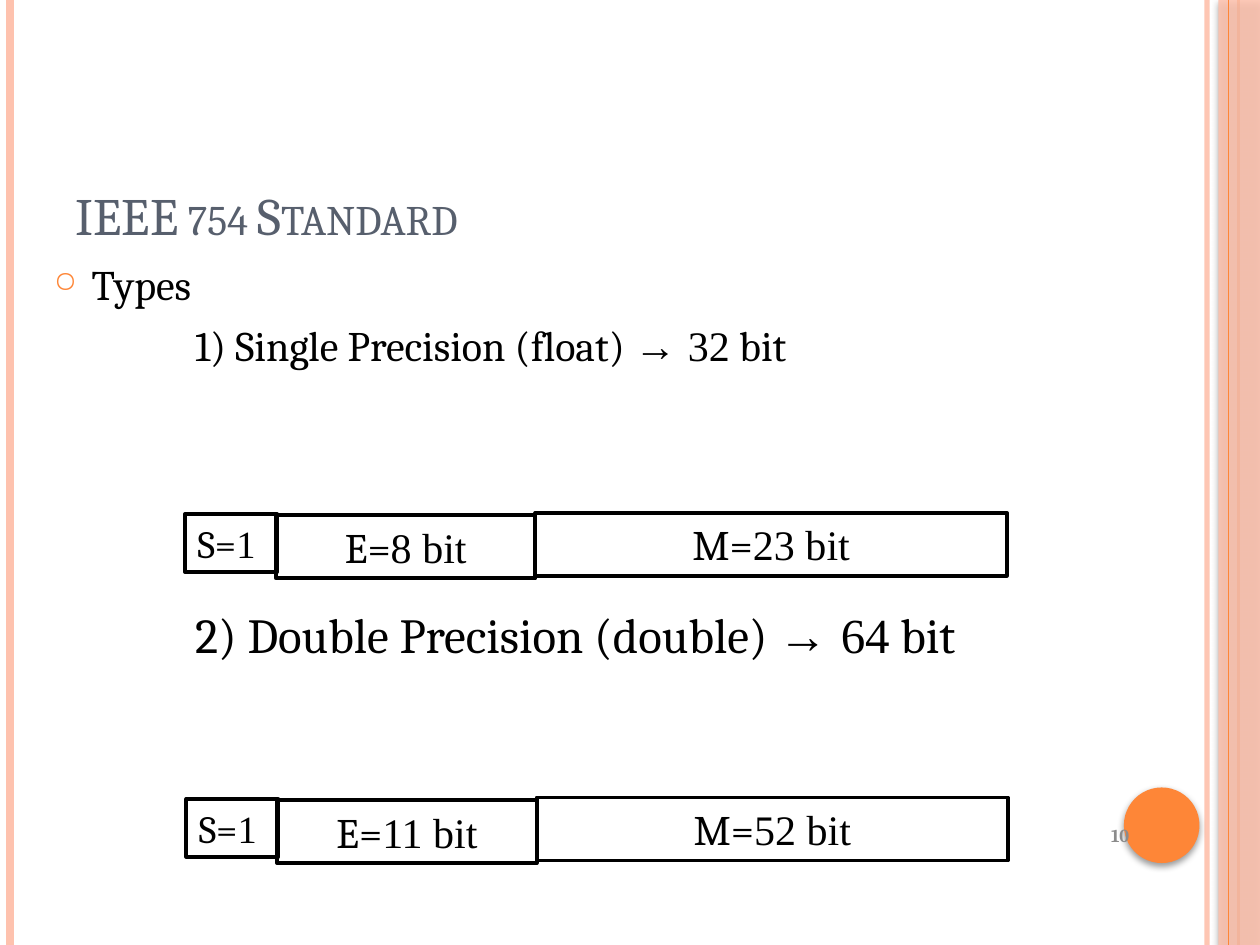
from dataclasses import dataclass
from typing import Any, Optional

from lxml.etree import SubElement
from pptx import Presentation
from pptx.dml.color import RGBColor
from pptx.enum.shapes import MSO_CONNECTOR, MSO_SHAPE
from pptx.enum.text import MSO_ANCHOR, MSO_AUTO_SIZE, PP_ALIGN
from pptx.oxml.ns import qn
from pptx.util import Inches, Pt


@dataclass(frozen=True)
class Theme:
    ink: str = "000000"
    title: str = "575F6D"
    accent: str = "FE8637"
    pale: str = "FEC2AE"
    muted: str = "8B8B8B"
    serif: str = "Cambria"
    digits: str = "Times New Roman"
    symbol: str = "Arial"
    title_size: float = 30
    heading_size: float = 28
    text_size: float = 24
    sign_size: float = 22
    number_size: float = 10.5


@dataclass(frozen=True)
class Rule:
    x: float
    color: str
    width: float
    opacity: int = 100


@dataclass(frozen=True)
class Field:
    label: str
    left: float
    top: float
    width: float
    height: float
    size: float
    align: PP_ALIGN
    wrap: bool


@dataclass(frozen=True)
class Layout:
    left: float
    top: float
    bits: tuple[str, str, str]


THEME = Theme()
FIELDS = (
    Field("S=", 0, 0.01, 0.73, 0.46, THEME.sign_size, PP_ALIGN.LEFT, False),
    Field("E=", 0.72, 0.02, 2.06, 0.5, THEME.text_size, PP_ALIGN.CENTER, True),
    Field("M=", 2.78, 0, 3.74, 0.5, THEME.text_size, PP_ALIGN.CENTER, True),
)
LAYOUTS = (
    Layout(1.47, 4.07, ("1", "8 bit", "23 bit")),
    Layout(1.48, 6.33, ("1", "11 bit", "52 bit")),
)


def apply(target: Any, values: dict[str, Any]) -> None:
    for name, value in values.items():
        setattr(target, name, value)


def set_opacity(shape: Any, percent: int) -> None:
    color = next(shape._element.spPr.iter(qn("a:srgbClr")))
    SubElement(color, qn("a:alpha"), val=str(percent * 1000))


def add_rule(page: Any, rule: Rule) -> None:
    line = page.shapes.add_connector(
        MSO_CONNECTOR.STRAIGHT, Inches(rule.x), Inches(0), Inches(rule.x), Inches(7.5))
    line.line.color.rgb = RGBColor.from_string(rule.color)
    line.line.width = Pt(rule.width)
    if rule.opacity < 100:
        set_opacity(line, rule.opacity)
    SubElement(line._element.spPr, qn("a:effectLst"))


def add_ornament(page: Any, kind: MSO_SHAPE, left: float, top: float,
                 width: float, height: float, color: str, opacity: int = 100) -> None:
    shape = page.shapes.add_shape(
        kind, Inches(left), Inches(top), Inches(width), Inches(height))
    shape.fill.solid()
    shape.fill.fore_color.rgb = RGBColor.from_string(color)
    if opacity < 100:
        set_opacity(shape, opacity)
    shape.line.fill.background()
    shape.shadow.inherit = False
    effects = shape._element.spPr.find(qn("a:effectLst"))
    shadow = SubElement(effects, qn("a:outerShdw"), blurRad=str(Pt(4)),
                        dist=str(Pt(2)), dir="5400000", rotWithShape="0")
    shade = SubElement(shadow, qn("a:srgbClr"), val=THEME.ink)
    SubElement(shade, qn("a:alpha"), val="40000")


def add_text_box(page: Any, left: float, top: float, width: float, height: float,
                 anchor: MSO_ANCHOR = MSO_ANCHOR.TOP) -> Any:
    box = page.shapes.add_textbox(
        Inches(left), Inches(top), Inches(width), Inches(height))
    apply(box.text_frame, {"word_wrap": True, "vertical_anchor": anchor})
    return box.text_frame


def add_span(para: Any, text: str, size: float, font: str = THEME.serif,
             color: str = THEME.ink, bold: Optional[bool] = None) -> Any:
    span = para.add_run()
    span.text = text
    apply(span.font, {"name": font, "size": Pt(size), "bold": bold})
    span.font.color.rgb = RGBColor.from_string(color)
    return span


def add_bullet(para: Any) -> None:
    properties = para._p.get_or_add_pPr()
    apply(para, {"space_before": Pt(6)})
    properties.set("marL", str(Inches(0.3)))
    properties.set("indent", str(Inches(-0.3)))
    color = SubElement(properties, qn("a:buClr"))
    SubElement(color, qn("a:srgbClr"), val=THEME.accent)
    SubElement(properties, qn("a:buSzPct"), val="70000")
    SubElement(properties, qn("a:buChar"), char="○")


def write_precision(para: Any, label: str, bits: str, size: float, before: float) -> None:
    para.space_before = Pt(before)
    para._p.get_or_add_pPr().set("marL", str(Inches(1.12)))
    for text, font in ((f"{label} ", THEME.serif), ("→ ", THEME.symbol),
                       (bits, THEME.digits), (" bit", THEME.serif)):
        add_span(para, text, size, font)


def add_field(page: Any, layout: Layout, field: Field, bits: str) -> None:
    box = page.shapes.add_shape(
        MSO_SHAPE.RECTANGLE, Inches(layout.left + field.left),
        Inches(layout.top + field.top), Inches(field.width), Inches(field.height))
    box.fill.background()
    box.line.color.rgb = RGBColor.from_string(THEME.ink)
    box.line.width = Pt(2.25)
    box.shadow.inherit = False
    apply(box.text_frame, {"word_wrap": field.wrap, "vertical_anchor": MSO_ANCHOR.TOP,
                           "auto_size": MSO_AUTO_SIZE.SHAPE_TO_FIT_TEXT})
    para = box.text_frame.paragraphs[0]
    para.alignment = field.align
    add_span(para, field.label, field.size)
    add_span(para, bits, field.size, THEME.digits)


def main() -> None:
    deck = Presentation()
    apply(deck, {"slide_width": Inches(10), "slide_height": Inches(7.5)})
    page = deck.slides.add_slide(deck.slide_layouts[6])

    # Side decoration
    for rule in (Rule(9.58, THEME.pale, 3, 93), Rule(0.08, THEME.pale, 4.5),
                 Rule(9.83, THEME.accent, 1.5)):
        add_rule(page, rule)
    add_ornament(page, MSO_SHAPE.RECTANGLE, 9.67, 0, 0.33, 7.5, THEME.pale, 87)
    add_rule(page, Rule(9.75, THEME.accent, 0.75))
    add_ornament(page, MSO_SHAPE.OVAL, 8.92, 6.25, 0.6, 0.6, THEME.accent)

    # Title
    title = add_text_box(page, 0.5, 0.83, 9, 1.17, MSO_ANCHOR.BOTTOM)
    span = add_span(title.paragraphs[0], "IEEE 754 Standard", THEME.title_size,
                    color=THEME.title)
    span.font._element.set("cap", "small")

    # Precision types
    body = add_text_box(page, 0.33, 2, 9, 1.25)
    add_bullet(body.paragraphs[0])
    add_span(body.paragraphs[0], "Types", THEME.text_size)
    write_precision(body.add_paragraph(), "1) Single Precision (float)", "32",
                    THEME.text_size, 6)
    double = add_text_box(page, 0.33, 4.75, 9, 0.83)
    write_precision(double.paragraphs[0], "2) Double Precision (double)", "64",
                    THEME.heading_size, 3)

    # Slide number
    number = add_text_box(page, 8.43, 6.43, 0.63, 0.4, MSO_ANCHOR.MIDDLE)
    number.paragraphs[0].alignment = PP_ALIGN.RIGHT
    add_span(number.paragraphs[0], "10", THEME.number_size, color=THEME.muted, bold=True)

    # Bit layouts
    for layout in LAYOUTS:
        for field, bits in zip(FIELDS, layout.bits):
            add_field(page, layout, field, bits)

    deck.save("out.pptx")


if __name__ == "__main__":
    main()
